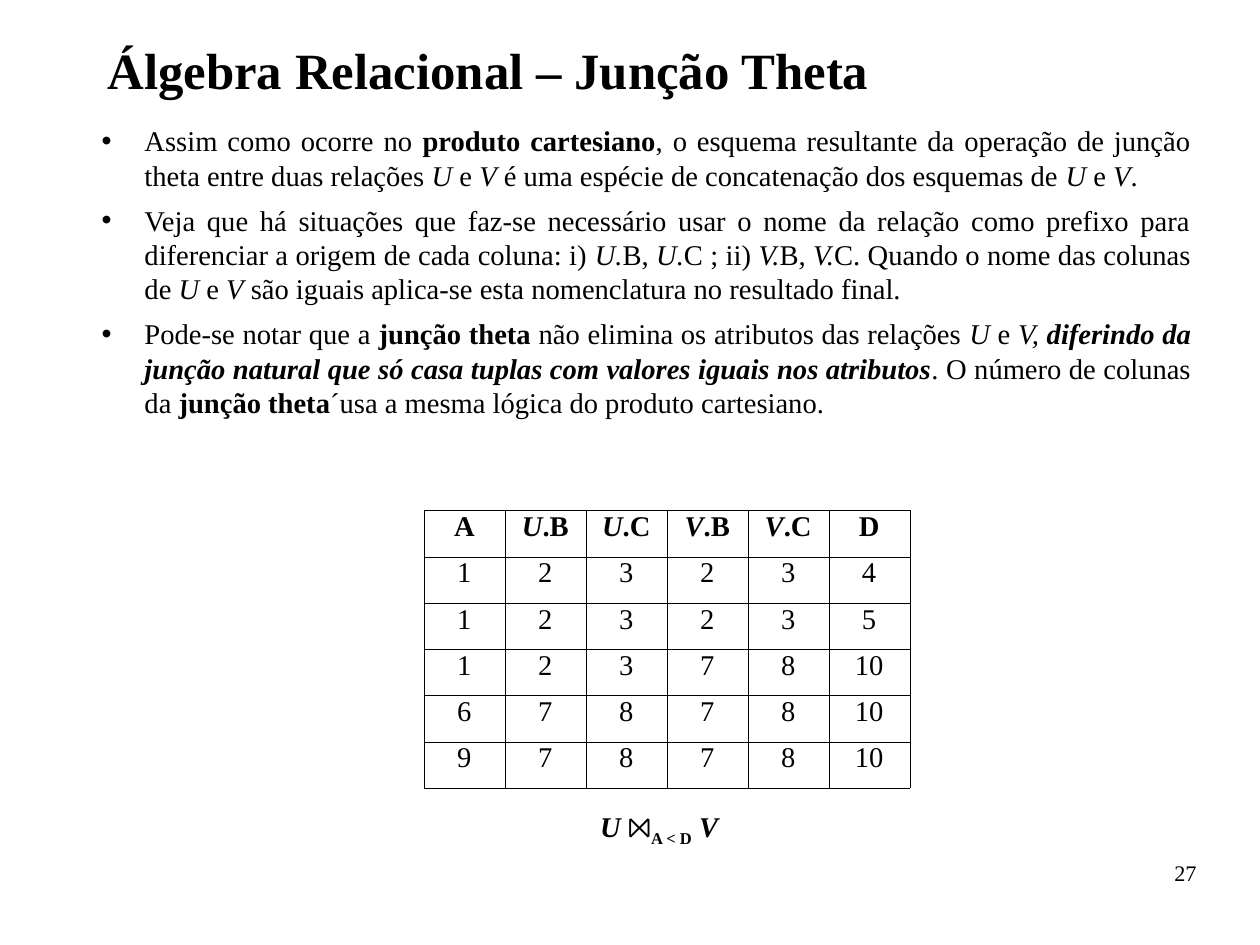
from lxml import etree
from pptx import Presentation
from pptx.dml.color import RGBColor
from pptx.enum import text as t
from pptx.oxml.ns import qn
from pptx.util import Pt

BLACK = RGBColor(0, 0, 0)
FONT = "Times New Roman"

# Each run is (text, style): b bold, i italic, s subscript
TITLE = [[("Álgebra Relacional – Junção Theta", "b")]]
BODY = [
    [("Assim como ocorre no ", ""), ("produto cartesiano", "b"),
     (", o esquema resultante da operação de junção theta entre duas relações ", ""),
     ("U", "i"), (" e ", ""), ("V", "i"),
     (" é uma espécie de concatenação dos esquemas de ", ""),
     ("U", "i"), (" e ", ""), ("V", "i"), (".", "")],
    [("Veja que há situações que faz-se necessário usar o nome da relação como prefixo "
      "para diferenciar a origem de cada coluna: i) ", ""),
     ("U.", "i"), ("B, ", ""), ("U.", "i"), ("C ; ii) ", ""),
     ("V.", "i"), ("B", ""), (", V.", "i"),
     ("C. Quando o nome das colunas de ", ""), ("U", "i"), (" e ", ""), ("V", "i"),
     (" são iguais aplica-se esta nomenclatura no resultado final.", "")],
    [("Pode-se notar que a ", ""), ("junção theta", "b"),
     (" não elimina os atributos das relações ", ""),
     ("U", "i"), (" e ", ""), ("V, ", "i"),
     ("diferindo da junção natural que só casa tuplas com valores iguais nos atributos", "bi"),
     (". O número de colunas da ", ""), ("junção theta", "b"),
     ("´usa a mesma lógica do produto cartesiano.", "")],
]
HEADER = [
    [("A", "b")],
    [("U", "bi"), (".B", "b")],
    [("U", "bi"), (".C", "b")],
    [("V", "bi"), (".B", "b")],
    [("V", "bi"), (".C", "b")],
    [("D", "b")],
]
TUPLES = [
    (1, 2, 3, 2, 3, 4),
    (1, 2, 3, 2, 3, 5),
    (1, 2, 3, 7, 8, 10),
    (6, 7, 8, 7, 8, 10),
    (9, 7, 8, 7, 8, 10),
]
CAPTION = [[("U", "bi"), (" ⨝", "b"), ("A < D", "bs"), (" V", "bi")]]
PAGE_NUMBER = [[("27", "")]]

SLIDE_WIDTH, SLIDE_HEIGHT = 793.7, 595.28
COLUMN_WIDTH, ROW_HEIGHT = 51, 29.16
BORDER_WIDTH = 0.06


def place(shape, left, top, width, height):
    shape.left, shape.top = Pt(left), Pt(top)
    shape.width, shape.height = Pt(width), Pt(height)


def add_bullet(paragraph, indent):
    properties = paragraph._p.get_or_add_pPr()
    properties.set("marL", str(Pt(indent)))
    properties.set("indent", str(-Pt(indent)))
    etree.SubElement(properties, qn("a:buChar")).set("char", "•")


def write(frame, paragraphs, size=18, align=t.PP_ALIGN.LEFT, spacing=1.0,
          after=0.4, bullet_indent=0, margins=None):
    if margins:
        (frame.margin_left, frame.margin_top,
         frame.margin_right, frame.margin_bottom) = map(Pt, margins)
    for index, runs in enumerate(paragraphs):
        paragraph = frame.paragraphs[0] if index == 0 else frame.add_paragraph()
        if bullet_indent:
            add_bullet(paragraph, bullet_indent)
        paragraph.alignment = align
        paragraph.line_spacing = spacing
        paragraph.space_before = Pt(0.4 if index else 0)
        paragraph.space_after = Pt(after)
        for content, style in runs:
            run = paragraph.add_run()
            run.text = content
            font = run.font
            font.name, font.size, font.color.rgb = FONT, Pt(size), BLACK
            font.bold, font.italic = "b" in style, "i" in style
            if "s" in style:
                font._element.set("baseline", "-25000")


def add_borders(cell):
    properties = cell._tc.get_or_add_tcPr()
    for position, side in enumerate(("lnL", "lnR", "lnT", "lnB")):
        line = etree.Element(qn(f"a:{side}"), w=str(Pt(BORDER_WIDTH)))
        fill = etree.SubElement(line, qn("a:solidFill"))
        etree.SubElement(fill, qn("a:srgbClr")).set("val", str(BLACK))
        properties.insert(position, line)


def add_join_table(slide):
    rows = [HEADER] + [[[(str(value), "")] for value in row] for row in TUPLES]
    table = slide.shapes.add_table(
        len(rows), len(HEADER), Pt(267), Pt(321.6),
        Pt(COLUMN_WIDTH * len(HEADER)), Pt(ROW_HEIGHT * len(rows))).table
    table.first_row = table.horz_banding = False
    for column in table.columns:
        column.width = Pt(COLUMN_WIDTH)
    for row, contents in zip(table.rows, rows):
        row.height = Pt(ROW_HEIGHT)
        for cell, runs in zip(row.cells, contents):
            cell.fill.background()
            add_borders(cell)
            write(cell.text_frame, [runs], align=t.PP_ALIGN.CENTER, spacing=0.8)


def add_text_box(slide, left, top, width, height):
    frame = slide.shapes.add_textbox(Pt(left), Pt(top), Pt(width), Pt(height)).text_frame
    frame.word_wrap = True
    return frame


def main():
    presentation = Presentation()
    presentation.slide_width, presentation.slide_height = Pt(SLIDE_WIDTH), Pt(SLIDE_HEIGHT)
    slide = presentation.slides.add_slide(presentation.slide_layouts[1])
    title, body = slide.placeholders

    place(title, 67.7, 28.1, 686.2, 48.2)
    place(body, 64, 76.3, 686.2, 430.6)
    for placeholder in (title, body):
        placeholder.text_frame.vertical_anchor = t.MSO_ANCHOR.TOP
        placeholder.text_frame.auto_size = t.MSO_AUTO_SIZE.NONE
    write(title.text_frame, TITLE, size=32, spacing=0.93, margins=(0, 0, 0, 0))
    write(body.text_frame, BODY, align=t.PP_ALIGN.JUSTIFY, after=6.4,
          bullet_indent=27, margins=(0, 1.4, 0, 0))

    add_join_table(slide)
    caption = add_text_box(slide, 371, 506.2, 108, 31.7)
    caption.auto_size = t.MSO_AUTO_SIZE.SHAPE_TO_FIT_TEXT
    write(caption, CAPTION)
    write(add_text_box(slide, 568.8, 542.2, 185, 41), PAGE_NUMBER, size=14,
          align=t.PP_ALIGN.RIGHT, spacing=0.95, margins=(0, 0, 0, 0))
    presentation.save("out.pptx")


if __name__ == "__main__":
    main()
